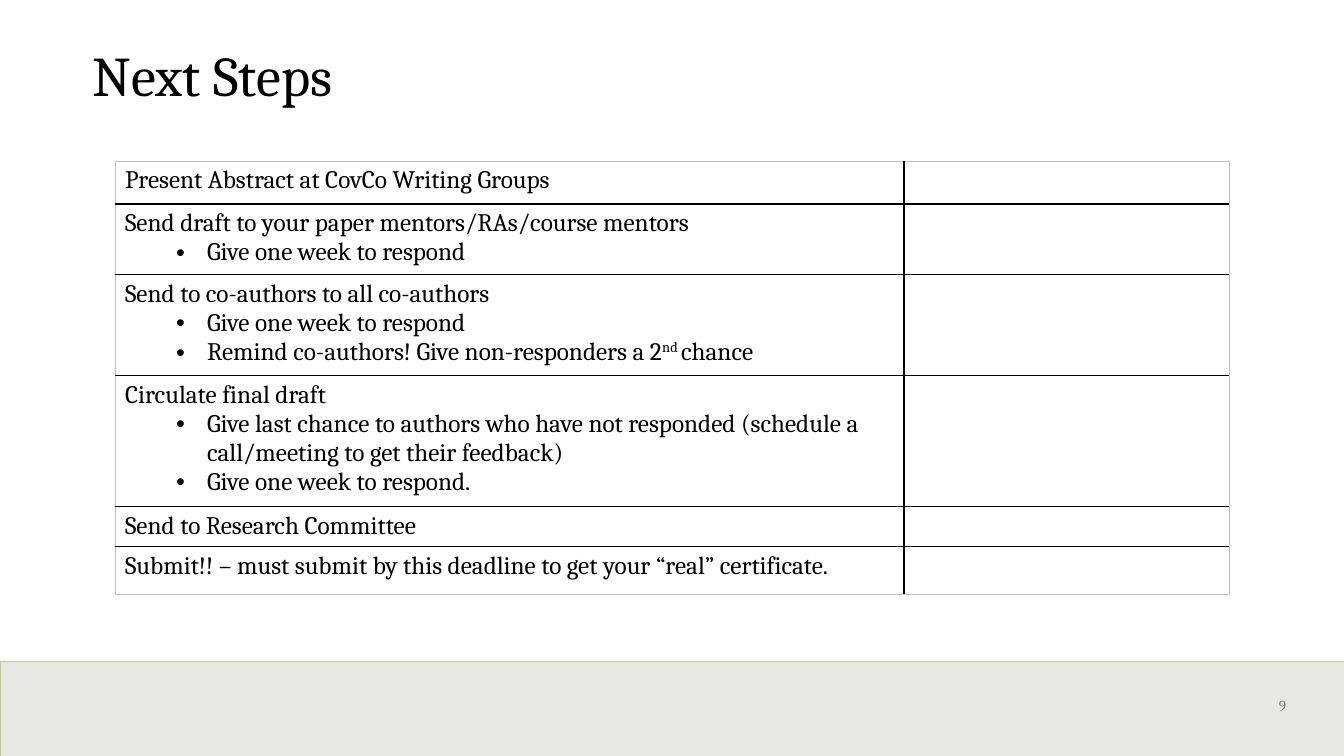
from pptx import Presentation
from pptx.dml.color import RGBColor as RGB
from pptx.enum.shapes import MSO_SHAPE as SHAPE
from pptx.enum.text import MSO_ANCHOR as ANCHOR
from pptx.oxml.ns import qn
from pptx.util import Pt
from lxml.etree import SubElement as Sub

TITLE = "Next Steps"
PAGE = "9"
STEPS = [
    (43, "Present Abstract at CovCo Writing Groups", []),
    (68, "Send draft to your paper mentors/RAs/course mentors",
     [["Give one week to respond"]]),
    (97, "Send to co-authors to all co-authors",
     [["Give one week to respond"],
      ["Remind co-authors! Give non-responders a 2", "nd ", "chance"]]),
    (127, "Circulate final draft",
     [["Give last chance to authors who have not responded "
       "(schedule a call/meeting to get their feedback)"],
      ["Give one week to respond."]]),
    (39, "Send to Research Committee", []),
    (47, "Submit!! – must submit by this deadline to get your “real” certificate.", []),
]
COLS = [789, 325]

BLACK = RGB(0x00, 0x00, 0x00)
GREY = RGB(0x7F, 0x7F, 0x7F)
EDGE = RGB(0xC0, 0xC0, 0xC0)
BAND = RGB(0xD3, 0xD3, 0xC9)
BAND_LINE = RGB(0xBE, 0xCB, 0x95)
FONT = "Cambria"
TITLE_FMT = {"name": FONT, "size": Pt(40)}
BODY_FMT = {"name": FONT, "size": Pt(18)}
PAGE_FMT = {"name": FONT, "size": Pt(11)}


def px(n):
    return round(n * 914400 / 100.8)


def add_run(p, text, fmt, color=BLACK):
    r = p.add_run()
    r.text = text
    for key, value in fmt.items():
        setattr(r.font, key, value)
    r.font.color.rgb = color
    return r


def add_text(slide, box, text, fmt, color, frame_fmt):
    tf = slide.shapes.add_textbox(*map(px, box)).text_frame
    for key, value in frame_fmt.items():
        setattr(tf, key, value)
    p = tf.paragraphs[0]
    add_run(p, text, fmt, color)
    return p


def set_border(cell, side, color, width):
    ln = Sub(cell._tc.get_or_add_tcPr(), qn("a:ln" + side), w=str(Pt(width)))
    Sub(Sub(ln, qn("a:solidFill")), qn("a:srgbClr"), val=str(color))


def add_bullet(tf, parts):
    p = tf.add_paragraph()
    p.level = 1
    pPr = p._p.get_or_add_pPr()
    pPr.set("marL", str(px(82)))
    pPr.set("indent", str(px(-31)))
    Sub(pPr, qn("a:buFont"), typeface="Arial")
    Sub(pPr, qn("a:buChar"), char="•")
    for i, text in enumerate(parts):
        r = add_run(p, text, BODY_FMT)
        if i == 1:
            r.font._element.set("baseline", "30000")


def add_band(slide):
    sp = slide.shapes.add_shape(SHAPE.RECTANGLE, *map(px, (0, 661, 1344, 95)))
    sp.shadow.inherit = False
    sp.fill.solid()
    sp.fill.fore_color.rgb = BAND
    color = sp._element.spPr.find(qn("a:solidFill")).find(qn("a:srgbClr"))
    Sub(color, qn("a:alpha"), val="50000")
    sp.line.color.rgb = BAND_LINE
    sp.line.width = Pt(0.5)


def add_steps(slide):
    heights = [h for h, _, _ in STEPS]
    box = (115, 161, sum(COLS), sum(heights))
    table = slide.shapes.add_table(len(STEPS), len(COLS), *map(px, box)).table
    table.first_row = table.horz_banding = False
    for col, width in zip(table.columns, COLS):
        col.width = px(width)
    last_row, last_col = len(STEPS) - 1, len(COLS) - 1
    for i, (height, head, bullets) in enumerate(STEPS):
        table.rows[i].height = px(height)
        for j in range(len(COLS)):
            cell = table.cell(i, j)
            outer = {"L": j == 0, "R": j == last_col, "T": i == 0, "B": i == last_row}
            heavy = {"T": i == 1, "B": i == 0}
            for side, is_outer in outer.items():
                width = 0.5 if is_outer else 1.5 if heavy.get(side) else 1
                set_border(cell, side, EDGE if is_outer else BLACK, width)
            cell.fill.background()
        tf = table.cell(i, 0).text_frame
        add_run(tf.paragraphs[0], head, BODY_FMT)
        for parts in bullets:
            add_bullet(tf, parts)


def main():
    prs = Presentation()
    prs.slide_width, prs.slide_height = px(1344), px(756)
    slide = prs.slides.add_slide(prs.slide_layouts[6])
    add_band(slide)
    p = add_text(slide, (1249, 691, 71, 37), PAGE, PAGE_FMT, GREY, {"word_wrap": True})
    p.space_before = Pt(2)
    p._p.get_or_add_pPr().set("marL", str(px(20)))
    p = add_text(slide, (93, 40, 1159, 77), TITLE, TITLE_FMT, BLACK,
                 {"word_wrap": True, "margin_left": 0, "vertical_anchor": ANCHOR.MIDDLE})
    p.line_spacing = 0.9
    add_steps(slide)
    prs.save("out.pptx")


if __name__ == "__main__":
    main()
